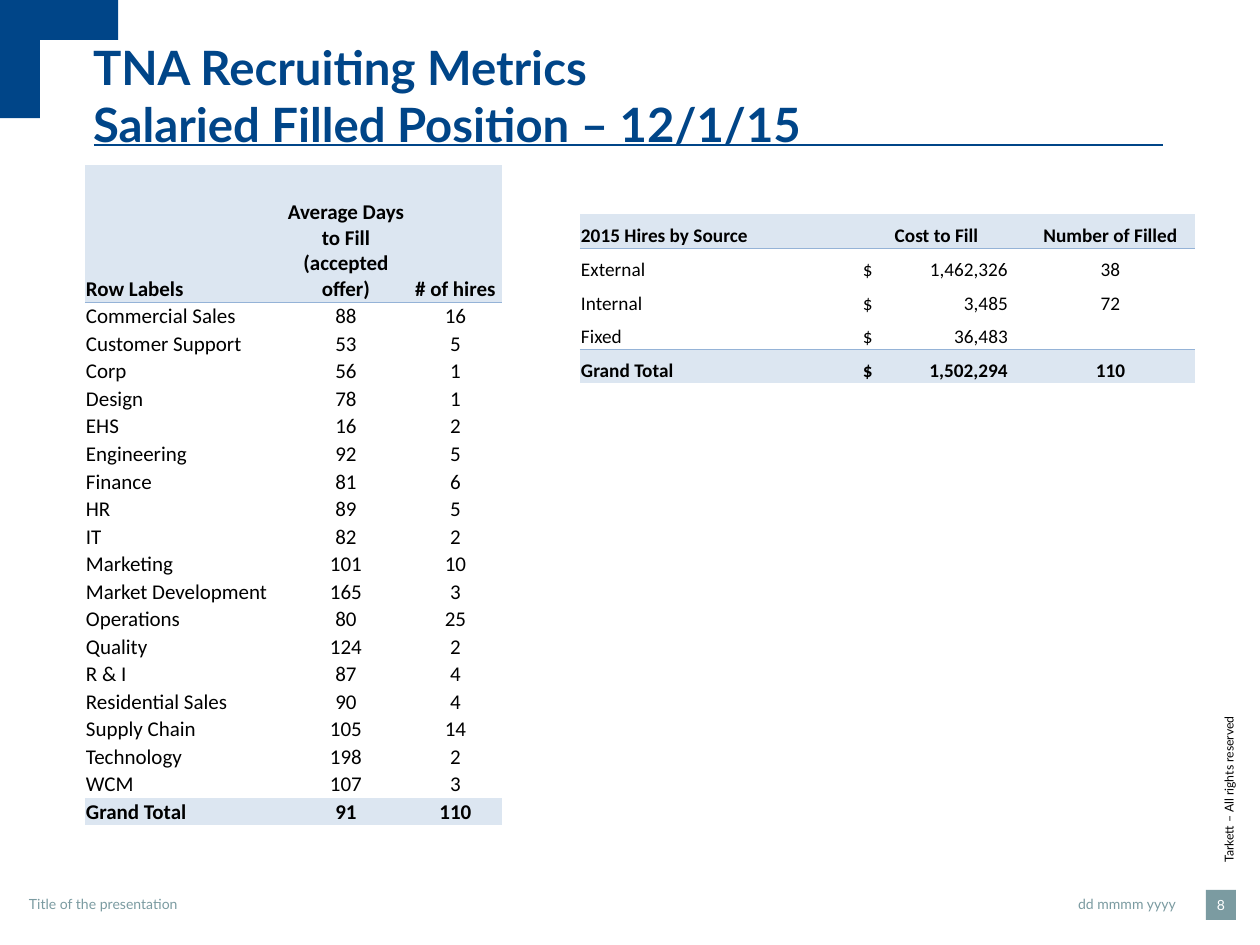
from dataclasses import dataclass

from lxml.etree import SubElement
from pptx import Presentation
from pptx.dml.color import RGBColor
from pptx.enum.shapes import MSO_CONNECTOR, MSO_SHAPE
from pptx.enum.text import MSO_ANCHOR, PP_ALIGN
from pptx.oxml import parse_xml
from pptx.oxml.ns import nsdecls, qn
from pptx.util import Emu, Pt

PX = 914400 / 126
NO_GRID_STYLE = "{2D5ABB26-0587-4C30-8999-92F81FD0307C}"


def px(length):
    return Emu(round(length * PX))


def rgb(value):
    return RGBColor.from_string(value)


@dataclass(frozen=True)
class Theme:
    navy: str = "004588"
    sage: str = "7B9BA1"
    band: str = "DCE6F1"
    rule: str = "95B3D7"
    black: str = "000000"
    white: str = "FFFFFF"
    brand_font: str = "Lato"
    table_font: str = "Calibri"
    title_size: int = 27
    footer_size: int = 8
    rights_size: int = 7
    hires_size: int = 12
    source_size: int = 11


class SlideBuilder:
    def __init__(self, slide, theme):
        self.slide = slide
        self.theme = theme

    def run(self, paragraph, text, size, color, bold=False, font=None):
        run = paragraph.add_run()
        run.text = text
        run.font.size = Pt(size)
        run.font.name = font or self.theme.brand_font
        run.font.bold = bold
        run.font.color.rgb = rgb(color)

    def text(self, box, lines, size, color, bold=False, align=PP_ALIGN.LEFT,
             anchor=MSO_ANCHOR.TOP, inset=5, rotation=0):
        shape = self.slide.shapes.add_textbox(*map(px, box))
        shape.rotation = rotation
        frame = shape.text_frame
        frame.word_wrap = True
        frame.vertical_anchor = anchor
        frame.margin_left = frame.margin_right = px(inset)
        frame.margin_top = frame.margin_bottom = 0
        paragraph = frame.paragraphs[0]
        paragraph.alignment = align
        for i, line in enumerate(lines):
            if i:
                paragraph.add_line_break()
            self.run(paragraph, line, size, color, bold)

    def corner(self, side, thickness):
        outline = [(side, 0), (side, thickness), (thickness, thickness),
                   (thickness, side), (0, side)]
        builder = self.slide.shapes.build_freeform(0, 0, scale=PX)
        builder.add_line_segments(outline, close=True)
        bracket = builder.convert_to_shape()
        bracket.shadow.inherit = False
        bracket.fill.solid()
        bracket.fill.fore_color.rgb = rgb(self.theme.navy)
        bracket.line.fill.background()

    def horizontal_rule(self, left, right, y):
        rule = self.slide.shapes.add_connector(
            MSO_CONNECTOR.STRAIGHT, px(left), px(y), px(right), px(y))
        rule.line.color.rgb = rgb(self.theme.navy)
        rule.line.width = Pt(1)
        SubElement(rule._element.spPr, qn("a:effectLst"))

    def page_number(self, box, number):
        badge = self.slide.shapes.add_shape(MSO_SHAPE.RECTANGLE, *map(px, box))
        badge.shadow.inherit = False
        badge.fill.solid()
        badge.fill.fore_color.rgb = rgb(self.theme.sage)
        badge.line.fill.background()
        frame = badge.text_frame
        frame.margin_left = frame.margin_right = 0
        frame.margin_top = frame.margin_bottom = 0
        frame.vertical_anchor = MSO_ANCHOR.MIDDLE
        frame.paragraphs[0].alignment = PP_ALIGN.CENTER
        self.run(frame.paragraphs[0], number, self.theme.footer_size, self.theme.white)

    def table(self, left, top, columns, header_height, body_height, rows, size, ruled_rows):
        """Band the first and last rows; draw a rule below each of ruled_rows."""
        table = self.slide.shapes.add_table(
            len(rows), len(columns), px(left), px(top),
            px(sum(columns)), px(header_height + body_height)).table
        table.first_row = table.horz_banding = False
        table._tbl.tblPr.find(qn("a:tableStyleId")).text = NO_GRID_STYLE
        for column, width in zip(table.columns, columns):
            column.width = px(width)
        for r, values in enumerate(rows):
            table.rows[r].height = px(body_height / (len(rows) - 1) if r else header_height)
            banded = r in (0, len(rows) - 1)
            for c, value in enumerate(values):
                cell = table.cell(r, c)
                self.cell(cell, value, size, banded, is_label=c == 0)
                if r in ruled_rows:
                    self.bottom_border(cell)

    def cell(self, cell, value, size, banded, is_label):
        cell.vertical_anchor = MSO_ANCHOR.BOTTOM
        cell.margin_left = cell.margin_right = cell.margin_top = px(1)
        cell.margin_bottom = 0
        if banded:
            cell.fill.solid()
            cell.fill.fore_color.rgb = rgb(self.theme.band)
        else:
            cell.fill.background()
        paragraph = cell.text_frame.paragraphs[0]
        is_money = "\t" in value
        paragraph.alignment = PP_ALIGN.LEFT if is_label or is_money else PP_ALIGN.CENTER
        if is_money:
            cell.margin_left = px(16)
            tabs = SubElement(paragraph._p.get_or_add_pPr(), qn("a:tabLst"))
            SubElement(tabs, qn("a:tab"), pos=str(px(145)), algn="r")
        if value:
            self.run(paragraph, value, size, self.theme.black, banded, self.theme.table_font)
        else:
            SubElement(paragraph._p, qn("a:endParaRPr"), sz=str(size * 100))

    def bottom_border(self, cell):
        border = parse_xml(
            f'<a:lnB {nsdecls("a")} w="{Pt(0.5)}"><a:solidFill>'
            f'<a:srgbClr val="{self.theme.rule}"/></a:solidFill></a:lnB>')
        cell._tc.get_or_add_tcPr().insert(0, border)


HIRES_BY_FUNCTION = [
    ("Row Labels", "Average Days to Fill (accepted offer)", "# of hires"),
    ("Commercial Sales", "88", "16"),
    ("Customer Support", "53", "5"),
    ("Corp", "56", "1"),
    ("Design", "78", "1"),
    ("EHS", "16", "2"),
    ("Engineering", "92", "5"),
    ("Finance", "81", "6"),
    ("HR", "89", "5"),
    ("IT", "82", "2"),
    ("Marketing", "101", "10"),
    ("Market Development", "165", "3"),
    ("Operations", "80", "25"),
    ("Quality", "124", "2"),
    ("R & I", "87", "4"),
    ("Residential Sales", "90", "4"),
    ("Supply Chain", "105", "14"),
    ("Technology", "198", "2"),
    ("WCM", "107", "3"),
    ("Grand Total", "91", "110"),
]
HIRES_BY_SOURCE = [
    ("2015 Hires by Source", "Cost to Fill", "Number of Filled"),
    ("External", "$\t1,462,326", "38"),
    ("Internal", "$\t3,485", "72"),
    ("Fixed", "$\t36,483", ""),
    ("Grand Total", "$\t1,502,294", "110"),
]


def main():
    deck = Presentation()
    deck.slide_width, deck.slide_height = px(1260), px(945)
    theme = Theme()
    page = SlideBuilder(deck.slides.add_slide(deck.slide_layouts[6]), theme)

    page.corner(118, 40)
    page.text((1152, 779, 154, 15), ["Tarkett – All rights reserved"],
              theme.rights_size, theme.black, inset=1, rotation=270)
    page.horizontal_rule(94, 1163, 145)
    page.text((88, 38, 1066, 115),
              ["TNA Recruiting Metrics", "Salaried Filled Position – 12/1/15"],
              theme.title_size, theme.navy, bold=True, anchor=MSO_ANCHOR.MIDDLE)
    page.text((1007, 896, 174, 16), ["dd mmmm yyyy"],
              theme.footer_size, theme.sage, align=PP_ALIGN.RIGHT)
    page.text((24, 896, 428, 16), ["Title of the presentation"],
              theme.footer_size, theme.sage)
    page.page_number((1206, 890, 30, 30), "8")

    page.table(580, 214, (267, 179, 169), 34, 135, HIRES_BY_SOURCE,
               theme.source_size, ruled_rows=(0, 3))
    page.table(85, 165, (198, 126, 93), 137, 524, HIRES_BY_FUNCTION,
               theme.hires_size, ruled_rows=(0,))
    deck.save("out.pptx")


if __name__ == "__main__":
    main()
